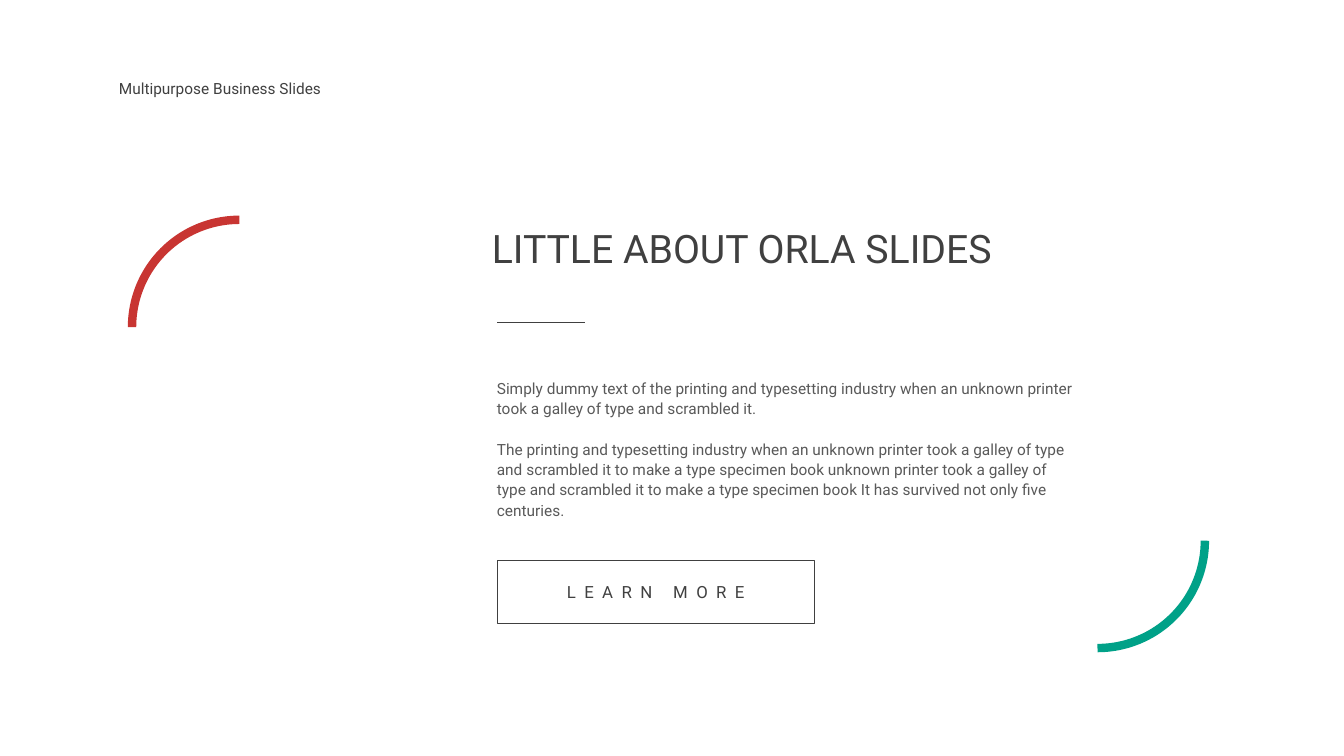
from lxml.etree import SubElement
from pptx import Presentation
from pptx.dml.color import RGBColor
from pptx.enum.shapes import MSO_CONNECTOR as Connector, MSO_SHAPE as Shape
from pptx.enum.text import MSO_ANCHOR as Anchor, PP_ALIGN as Align
from pptx.oxml.ns import qn
from pptx.util import Emu, Pt

EMU_PER_PX = 9144  # 100 px to the inch
FONT = "Roboto"
DARK, GREY, RED, GREEN = "404040", "595959", "C83532", "00A188"

HEADER = "Multipurpose Business Slides"
TITLE = "LITTLE ABOUT ORLA SLIDES"
BODY = [
    "Simply dummy text of the printing and typesetting industry when an unknown "
    "printer took a galley of type and scrambled it.",
    "The printing and typesetting industry when an unknown printer took a galley of "
    "type and scrambled it to make a type specimen book unknown printer took a galley "
    "of type and scrambled it to make a type specimen book It has survived not only "
    "five centuries.",
]
BUTTON = "LEARN MORE"

ARC_SIZE = 213
ARCS = [(131, 218, 270, RED), (982, 430, 90, GREEN)]  # left, top, rotation, colour


def px(*lengths):
    return [Emu(length * EMU_PER_PX) for length in lengths]


def color(value):
    return RGBColor.from_string(value)


def write(shape, *texts, size=11, ink=DARK, line_spacing=None, gap=0,
          align=Align.LEFT, anchor=Anchor.TOP, tracking=0):
    """Put one paragraph per text into the shape; gap and tracking are in points."""
    frame = shape.text_frame
    frame.word_wrap = True
    frame.vertical_anchor = anchor
    for index, text in enumerate(texts):
        paragraph = frame.paragraphs[0] if index == 0 else frame.add_paragraph()
        paragraph.alignment = align
        if line_spacing:
            paragraph.line_spacing = line_spacing
        if index and gap:
            paragraph.space_before = Pt(gap)
        run = paragraph.add_run()
        run.text = text
        run.font.name = FONT
        run.font.size = Pt(size)
        run.font.color.rgb = color(ink)
        if tracking:
            run._r.get_or_add_rPr().set("spc", str(tracking * 100))


def add_text(slide, box, *texts, **text_format):
    write(slide.shapes.add_textbox(*px(*box)), *texts, **text_format)


def add_outline(slide, preset, box, ink, weight):
    """Add a preset shape that has a line and no fill."""
    shape = slide.shapes.add_shape(preset, *px(*box))
    shape.shadow.inherit = False
    shape.fill.background()
    shape.line.color.rgb = color(ink)
    shape.line.width = Pt(weight)
    return shape


def add_rule(slide, left, right, top):
    rule = slide.shapes.add_connector(Connector.STRAIGHT, *px(left, top, right, top))
    rule.line.color.rgb = color(DARK)
    rule.line.width = Pt(1)
    SubElement(rule._element.spPr, qn("a:effectLst"))


def main():
    presentation = Presentation()
    presentation.slide_width, presentation.slide_height = px(1333, 750)
    slide = presentation.slides.add_slide(presentation.slide_layouts[6])

    for left, top, rotation, ink in ARCS:
        arc = add_outline(slide, Shape.ARC, (left, top, ARC_SIZE, ARC_SIZE), ink, 6)
        arc.rotation = rotation

    add_text(slide, (478, 218, 604, 57), TITLE, size=28)
    add_rule(slide, 493, 580, 320)
    add_text(slide, (483, 369, 596, 132), *BODY, ink=GREY, line_spacing=1.1, gap=14.5)
    button = add_outline(slide, Shape.RECTANGLE, (493, 556, 315, 63), DARK, 0.5)
    write(button, BUTTON, size=12, align=Align.CENTER, anchor=Anchor.MIDDLE, tracking=6)
    add_text(slide, (108, 68, 321, 34), HEADER, line_spacing=Pt(17.3))

    presentation.save("out.pptx")


if __name__ == "__main__":
    main()
